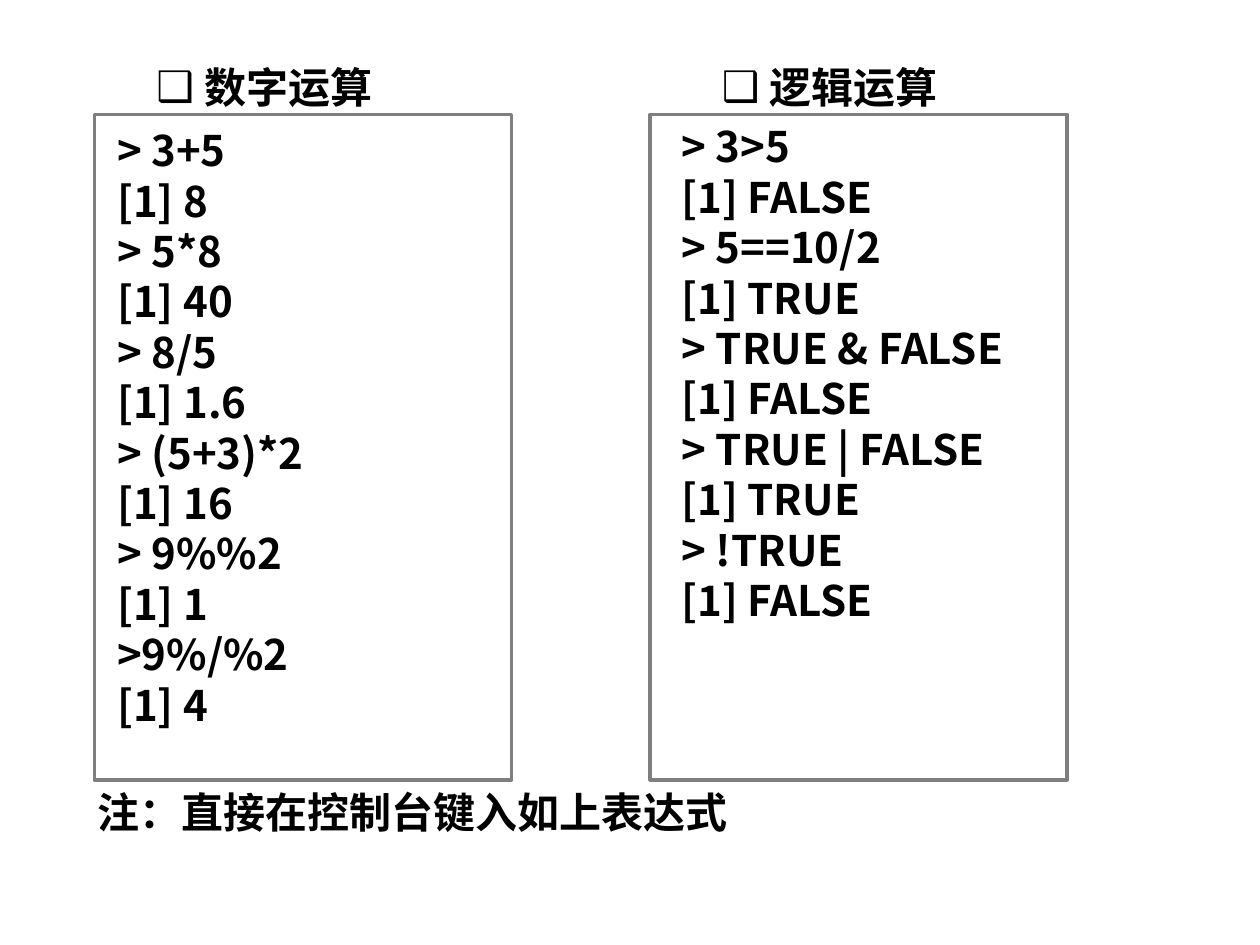
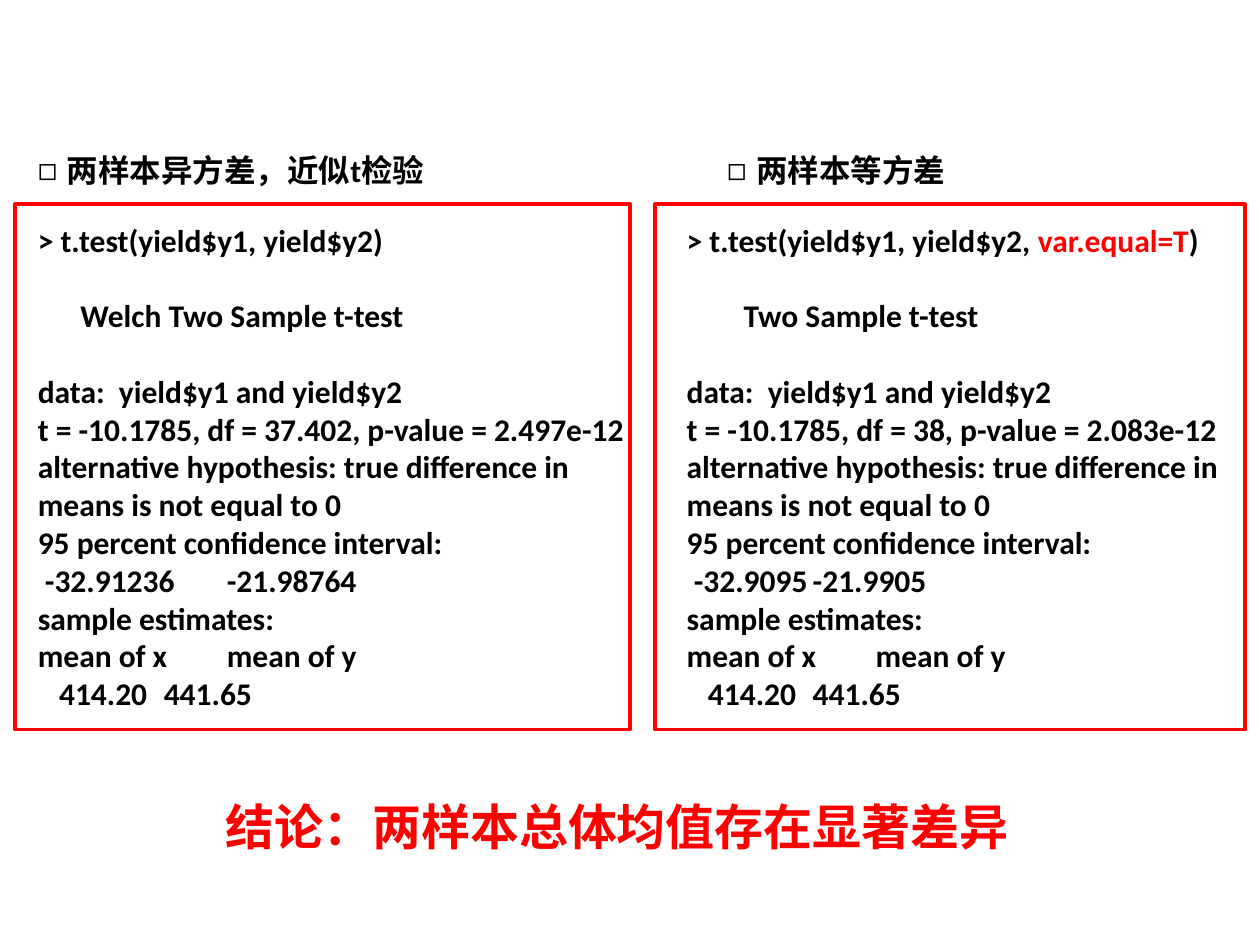
from dataclasses import dataclass

from lxml import etree
from pptx import Presentation
from pptx import util as u
from pptx.dml.color import RGBColor
from pptx.enum import shapes, text
from pptx.oxml.ns import qn


@dataclass(frozen=True)
class Theme:
    ink: str = "000000"
    grey: str = "7F7F7F"
    red: str = "FF0000"
    cjk_font: str = "Noto Sans CJK SC"
    latin_font: str = "Calibri"
    small: int = 18
    large: int = 24
    closing: int = 28
    leading: float = 1.2
    frame_width: int = 2


@dataclass(frozen=True)
class Box:
    left: float
    top: float
    width: float
    height: float

    def inside(self, left, top, width, height):
        return Box(self.left + left, self.top + top, width, height)

    def lengths(self):
        return [u.Inches(value) for value in (self.left, self.top, self.width, self.height)]


@dataclass(frozen=True)
class Style:
    font: str
    size: int
    color: str
    bullet: str = ""
    hang: float = 0
    tab: float = 0


@dataclass(frozen=True)
class Panel:
    frame: Box
    heading: str
    heading_left: float
    code: str
    code_left: float
    code_top: float
    code_width: float


THEME = Theme()
COMPARISON_LAYOUT = 4
HIGHLIGHT = "var.equal=T"

ARITHMETIC = """> 3+5
[1] 8
> 5*8
[1] 40
> 8/5
[1] 1.6
> (5+3)*2
[1] 16
> 9%%2
[1] 1
>9%/%2
[1] 4"""

LOGIC = """> 3>5
[1] FALSE
> 5==10/2
[1] TRUE
> TRUE & FALSE
[1] FALSE
> TRUE | FALSE
[1] TRUE
> !TRUE
[1] FALSE"""


def t_test_output(arguments, name, statistics, interval):
    return f"""> t.test(yield$y1, yield$y2{arguments})

{name}

data:  yield$y1 and yield$y2
{statistics}
alternative hypothesis: true difference in means is not equal to 0
95 percent confidence interval:
 {interval}
sample estimates:
mean of x\tmean of y
   414.20\t441.65"""


def format_paragraph(paragraph, style, space_before):
    properties = paragraph._p.get_or_add_pPr()
    properties.set("marL", str(u.Inches(style.hang)))
    properties.set("indent", str(-u.Inches(style.hang)))
    if style.bullet:
        color = etree.SubElement(properties, qn("a:buClr"))
        etree.SubElement(color, qn("a:srgbClr"), val=style.color)
        etree.SubElement(properties, qn("a:buChar"), char=style.bullet)
    else:
        etree.SubElement(properties, qn("a:buNone"))
    if style.tab:
        tabs = etree.SubElement(properties, qn("a:tabLst"))
        etree.SubElement(tabs, qn("a:tab"), pos=str(u.Inches(style.tab)), algn="l")
    paragraph.alignment = text.PP_ALIGN.LEFT
    paragraph.line_spacing = u.Pt(style.size * THEME.leading)
    paragraph.space_before = u.Pt(space_before)
    font = paragraph.font
    font.name = style.font
    font.size = u.Pt(style.size)
    font.bold = True
    font.color.rgb = RGBColor.from_string(style.color)
    etree.SubElement(properties.find(qn("a:defRPr")), qn("a:ea"), typeface=THEME.cjk_font)


def fill_placeholder(placeholder, box, content, style):
    placeholder.left, placeholder.top, placeholder.width, placeholder.height = box.lengths()
    frame = placeholder.text_frame
    frame.word_wrap = True
    frame.auto_size = text.MSO_AUTO_SIZE.NONE
    frame.vertical_anchor = text.MSO_ANCHOR.TOP
    paragraph = frame.paragraphs[0]
    gap = 0
    for number, line in enumerate(content.split("\n")):
        if not line:
            gap = style.size * THEME.leading
            continue
        if number:
            paragraph = frame.add_paragraph()
        format_paragraph(paragraph, style, gap)
        gap = 0
        for part in filter(None, line.partition(HIGHLIGHT)):
            run = paragraph.add_run()
            run.text = part
            if part == HIGHLIGHT:
                run.font.color.rgb = RGBColor.from_string(THEME.red)


def add_frame(slide, box, color):
    frame = slide.shapes.add_shape(shapes.MSO_SHAPE.RECTANGLE, *box.lengths())
    frame.shadow.inherit = False
    frame.fill.background()
    frame.line.color.rgb = RGBColor.from_string(color)
    frame.line.width = u.Pt(THEME.frame_width)


def add_panel(slide, panel, heading, body, heading_style, code_style, frame_color):
    height = heading_style.size * THEME.leading / 72 + 0.1
    heading_box = panel.frame.inside(panel.heading_left, -0.47, 3.6, height)
    code_box = panel.frame.inside(
        panel.code_left, panel.code_top, panel.code_width, panel.frame.height - panel.code_top)
    fill_placeholder(heading, heading_box, panel.heading, heading_style)
    fill_placeholder(body, code_box, panel.code, code_style)
    add_frame(slide, panel.frame, frame_color)


def add_comparison(presentation, panels, heading_style, code_style, frame_color,
                   closing, closing_box, closing_style):
    slide = presentation.slides.add_slide(presentation.slide_layouts[COMPARISON_LAYOUT])
    title, *slots = list(slide.placeholders)[:5]
    fill_placeholder(title, closing_box, closing, closing_style)
    for panel, heading, body in zip(panels, slots[::2], slots[1::2]):
        add_panel(slide, panel, heading, body, heading_style, code_style, frame_color)


def add_operations_slide(presentation):
    panels = [
        Panel(Box(0.75, 0.91, 3.31, 5.28), "数字运算", 0.39, ARITHMETIC, 0.08, 0.03, 3.23),
        Panel(Box(5.16, 0.91, 3.31, 5.28), "逻辑运算", 0.47, LOGIC, 0.15, 0, 3.16),
    ]
    plain = Style(THEME.cjk_font, THEME.large, THEME.ink)
    heading = Style(THEME.cjk_font, THEME.large, THEME.ink, "❑", 0.38)
    add_comparison(presentation, panels, heading, plain, THEME.grey,
                   "注：直接在控制台键入如上表达式", Box(0.67, 6.19, 8.74, 0.5), plain)


def add_t_test_slide(presentation):
    welch = t_test_output("", "      Welch Two Sample t-test",
                          "t = -10.1785, df = 37.402, p-value = 2.497e-12",
                          "-32.91236\t-21.98764")
    pooled = t_test_output(f", {HIGHLIGHT}", "        Two Sample t-test",
                           "t = -10.1785, df = 38, p-value = 2.083e-12",
                           "-32.9095\t-21.9905")
    panels = [
        Panel(Box(0.12, 1.62, 4.88, 4.17), "两样本异方差，近似t检验", 0.08, welch, 0.08, 0.08, 4.9),
        Panel(Box(5.2, 1.62, 4.68, 4.17), "两样本等方差", 0.47, pooled, 0.15, 0.08, 4.5),
    ]
    heading = Style(THEME.latin_font, THEME.small, THEME.ink, "◻", 0.23)
    code = Style(THEME.latin_font, THEME.small, THEME.ink, tab=1.5)
    conclusion = Style(THEME.cjk_font, THEME.closing, THEME.red)
    add_comparison(presentation, panels, heading, code, THEME.red,
                   "结论：两样本总体均值存在显著差异", Box(1.69, 6.27, 6.69, 0.57), conclusion)


def main():
    presentation = Presentation()
    presentation.slide_width = u.Inches(10)
    presentation.slide_height = u.Inches(7.5)
    add_operations_slide(presentation)
    add_t_test_slide(presentation)
    presentation.save("out.pptx")


if __name__ == "__main__":
    main()
